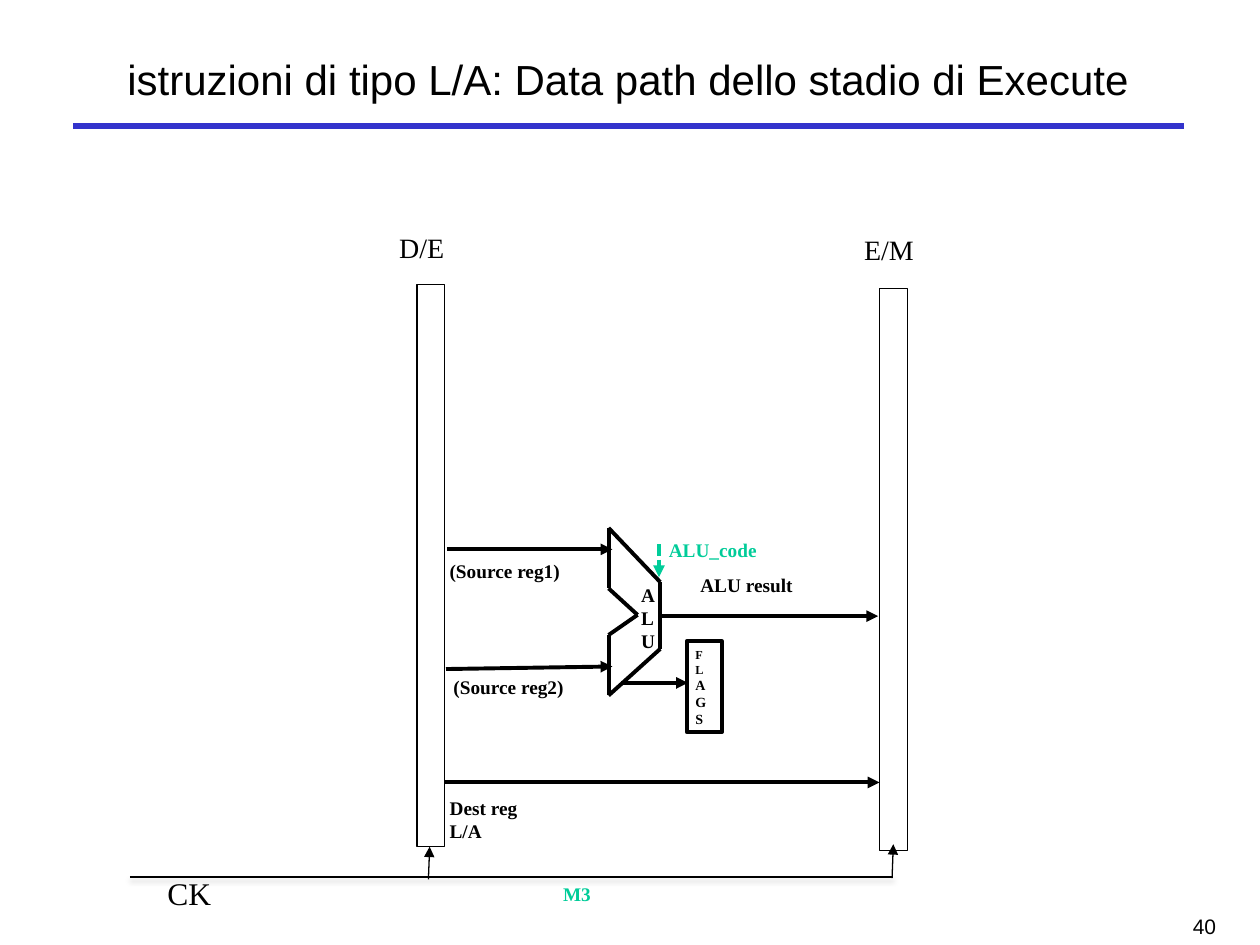
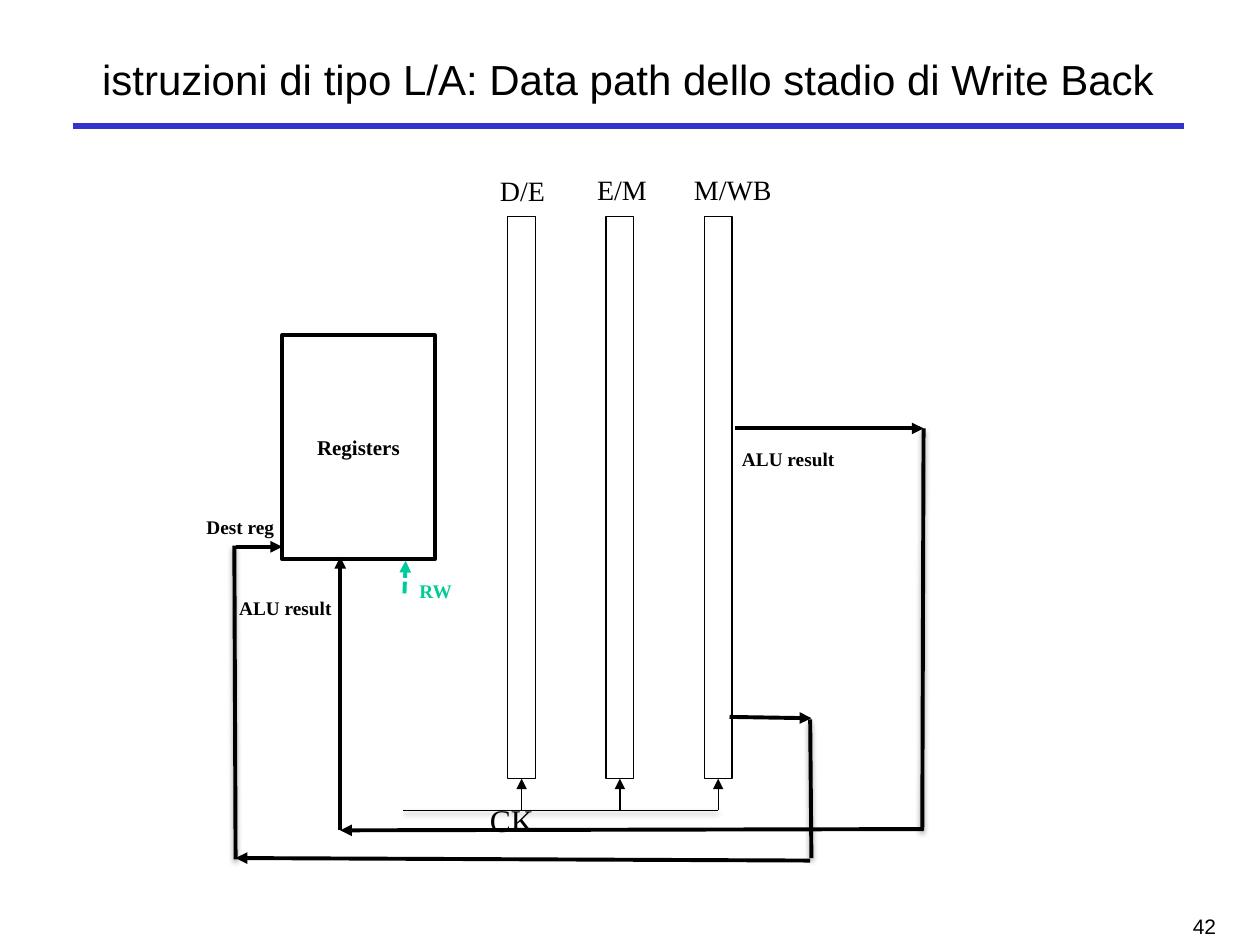
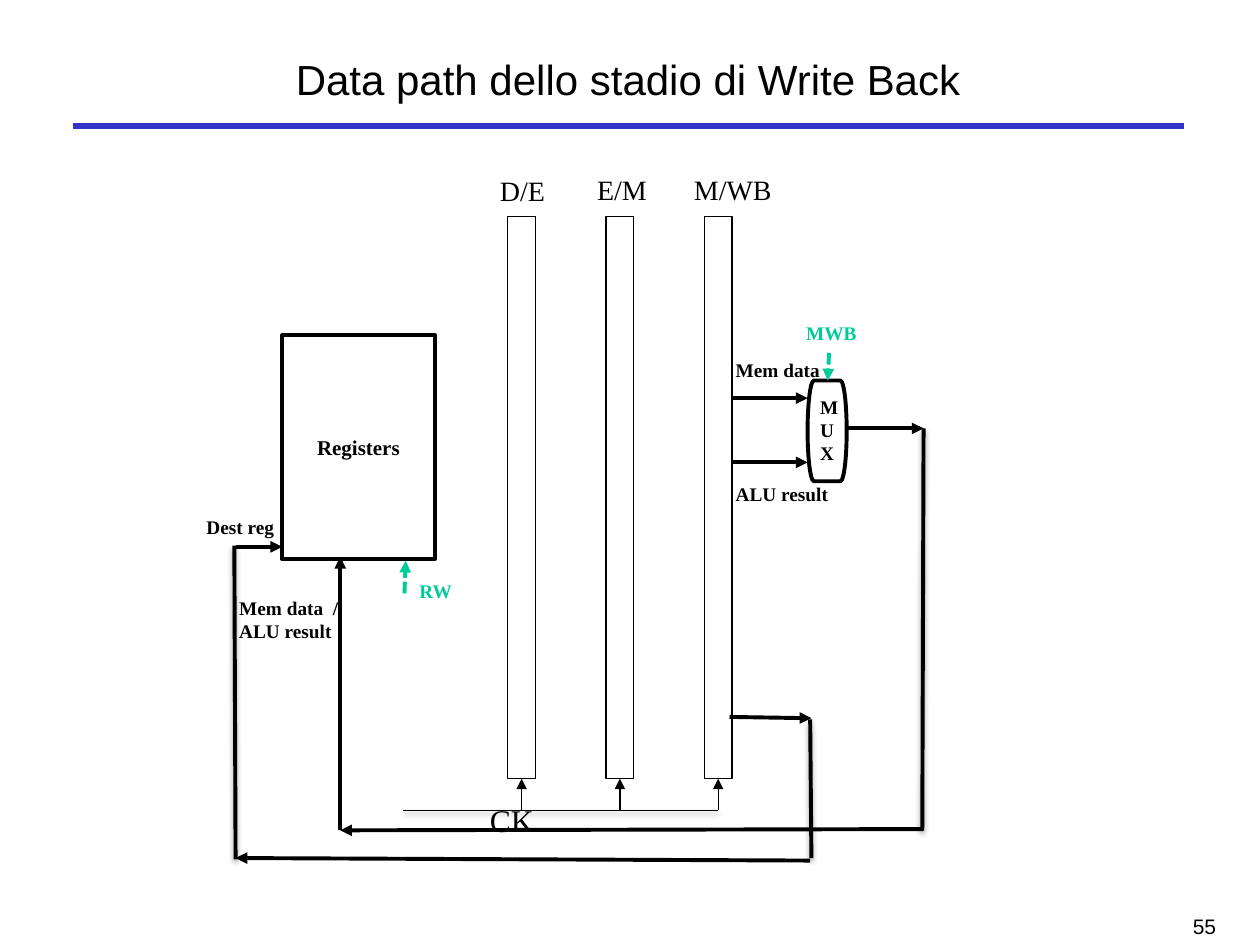
import dataclasses

import lxml.etree
import pptx
import pptx.dml.color
import pptx.enum.dml
import pptx.enum.shapes
import pptx.enum.text
import pptx.oxml
import pptx.oxml.ns
import pptx.util

Inches = pptx.util.Inches
Shape = pptx.enum.shapes.MSO_SHAPE
Align = pptx.enum.text.PP_ALIGN
Anchor = pptx.enum.text.MSO_ANCHOR
rgb = pptx.dml.color.RGBColor.from_string


@dataclasses.dataclass(frozen=True)
class Theme:
    ink: str = "000000"
    paper: str = "FFFFFF"
    rule: str = "3333CC"
    control: str = "00CC99"
    heading_font: str = "Arial"
    diagram_font: str = "Times New Roman"
    title_size: int = 24
    number_size: int = 12
    box_size: int = 12
    clock_size: int = 18
    stage_size: int = 16
    signal_size: int = 11
    thin: float = 0.75
    thick: float = 2.25
    rule_width: float = 3.75


theme = Theme()

LINE_STYLES = {
    "rule": dict(color=theme.rule, width=theme.rule_width),
    "wire": dict(width=theme.thick),
    "shaded wire": dict(width=theme.thick, shadow=True),
    "arrow": dict(width=theme.thick, arrow=True),
    "clock": dict(width=theme.thin, shadow=True),
    "tick": dict(width=theme.thin, arrow=True),
    "control": dict(color=theme.control, width=theme.thick, arrow=True, dashed=True),
}
LABEL_STYLES = {
    "clock": dict(size=theme.clock_size),
    "stage": dict(size=theme.stage_size),
    "signal": dict(size=theme.signal_size, bold=True),
    "control": dict(size=theme.signal_size, bold=True, color=theme.control),
}
SHADOW = (
    '<a:effectLst xmlns:a="http://schemas.openxmlformats.org/drawingml/2006/main">'
    '<a:outerShdw blurRad="39370" dist="22860" dir="5400000" rotWithShape="0">'
    '<a:srgbClr val="000000"><a:alpha val="35000"/></a:srgbClr>'
    "</a:outerShdw></a:effectLst>"
)


def add_text(frame, text, size, font=theme.diagram_font, color=theme.ink, bold=False,
             align=Align.LEFT, anchor=Anchor.TOP, wrap=True, continued=False):
    """Write one paragraph per line, or go on with the last paragraph."""
    frame.word_wrap = wrap
    frame.vertical_anchor = anchor
    for index, line in enumerate(text.split("\n")):
        if index and not continued:
            frame.add_paragraph()
        paragraph = frame.paragraphs[-1]
        paragraph.alignment = align
        run = paragraph.add_run()
        run.text = line
        run.font.size = pptx.util.Pt(size)
        run.font.name = font
        run.font.bold = bold
        run.font.color.rgb = rgb(color)


def add_line(slide, start, end, width, color=theme.ink, arrow=False, dashed=False, shadow=False):
    connector = slide.shapes.add_connector(
        pptx.enum.shapes.MSO_CONNECTOR.STRAIGHT, *map(Inches, start + end))
    connector.line.color.rgb = rgb(color)
    connector.line.width = pptx.util.Pt(width)
    if dashed:
        connector.line.dash_style = pptx.enum.dml.MSO_LINE.SQUARE_DOT
    qn = pptx.oxml.ns.qn
    properties = connector.element.spPr
    if arrow:
        lxml.etree.SubElement(properties.find(qn("a:ln")), qn("a:tailEnd"), type="triangle")
    if shadow:
        properties.append(pptx.oxml.parse_xml(SHADOW))
    else:
        lxml.etree.SubElement(properties, qn("a:effectLst"))
    return connector


# Execute stage: boxes (preset, place, line width), lines and labels
BAR_WIDTH, BAR_HEIGHT = 0.22, 4.46
execute_boxes = [
    (Shape.RECTANGLE, (6.98, 2.29, BAR_WIDTH, BAR_HEIGHT), theme.thin),
    (Shape.RECTANGLE, (3.31, 2.26, BAR_WIDTH, BAR_HEIGHT), theme.thin),
    (Shape.RECTANGLE, (5.45, 5.09, 0.28, 0.72), theme.thick),
]
alu_outline = [(4.83, 4.19), (5.24, 4.62), (5.24, 5.15), (4.83, 5.52),
               (4.83, 5.04), (5.06, 4.88), (4.83, 4.67)]
execute_lines = [
    ((1.03, 6.96), (7.09, 6.96), "clock"),
    ((7.08, 6.97), (7.09, 6.70), "tick"),
    ((3.40, 6.98), (3.41, 6.72), "tick"),
    ((3.53, 6.21), (6.98, 6.21), "arrow"),
    ((3.55, 4.36), (4.86, 4.36), "arrow"),
    ((3.54, 5.31), (4.86, 5.29), "arrow"),
    ((5.24, 4.89), (6.97, 4.89), "arrow"),
    ((4.93, 5.42), (5.46, 5.42), "arrow"),
    ((5.23, 4.32), (5.23, 4.58), "control"),
]
execute_lines += [(start, end, "wire")
                  for start, end in zip(alu_outline, alu_outline[1:] + alu_outline[:1])]
execute_labels = [
    ("CK", (1.23, 6.89, 0.59, 0.35), "clock"),
    ("E/M", (6.76, 1.80, 0.65, 0.37), "stage"),
    ("D/E", (3.07, 1.78, 0.60, 0.37), "stage"),
    ("Dest reg\nL/A", (3.47, 6.27, 0.78, 0.47), "signal"),
    ("ALU result", (5.46, 4.50, 1.07, 0.29), "signal"),
    ("ALU", (4.99, 4.58, 0.21, 0.66), "signal"),
    ("(Source reg1)", (3.47, 4.39, 1.10, 0.29), "signal"),
    ("(Source reg2)", (3.50, 5.31, 1.25, 0.47), "signal"),
    ("M3", (4.37, 6.95, 0.48, 0.29), "control"),
    ("ALU_code", (5.21, 4.22, 0.97, 0.29), "control"),
]

# Write Back stage: the parts that both versions share
bar_centers = [4.14, 4.92, 5.70]
write_back_boxes = [
    (Shape.RECTANGLE, (center - BAR_WIDTH / 2, 1.72, BAR_WIDTH, BAR_HEIGHT), theme.thin)
    for center in bar_centers
]
write_back_lines = [((center, 6.43), (center, 6.18), "tick") for center in bar_centers]
write_back_lines += [
    ((3.20, 6.43), (5.70, 6.43), "clock"),
    ((7.33, 3.40), (7.32, 6.59), "shaded wire"),
    ((7.33, 6.58), (2.70, 6.59), "arrow"),
    ((2.70, 6.59), (2.70, 4.42), "arrow"),
    ((5.79, 5.69), (6.44, 5.70), "arrow"),
    ((6.43, 5.71), (6.44, 6.81), "shaded wire"),
    ((6.43, 6.83), (1.87, 6.81), "arrow"),
    ((1.86, 4.33), (1.87, 6.82), "shaded wire"),
    ((1.87, 4.34), (2.24, 4.34), "arrow"),
    ((3.21, 4.71), (3.22, 4.45), "control"),
]
write_back_labels = [
    ("CK", (3.79, 6.31, 0.59, 0.35), "clock"),
    ("D/E", (3.87, 1.33, 0.57, 0.37), "stage"),
    ("E/M", (4.64, 1.32, 0.65, 0.37), "stage"),
    ("M/WB", (5.41, 1.32, 0.83, 0.37), "stage"),
    ("Dest reg", (1.54, 4.04, 0.75, 0.47), "signal"),
    ("RW", (3.23, 4.55, 0.48, 0.29), "control"),
]
registers_place = (2.24, 2.66, 1.21, 1.78)
registers_box = (Shape.RECTANGLE, registers_place, theme.thick)

# Write Back with the result alone, and with the multiplexer
result_lines = [((5.83, 3.40), (7.33, 3.40), "arrow")]
result_labels = [
    ("ALU result", (1.80, 4.68, 1.04, 0.29), "signal"),
    ("ALU result", (5.79, 3.50, 1.02, 0.29), "signal"),
]
mux_box = (Shape.FLOWCHART_TERMINATOR, (6.41, 3.02, 0.31, 0.80), theme.thick)
mux_lines = [
    ((6.73, 3.40), (7.33, 3.40), "arrow"),
    ((5.81, 3.16), (6.41, 3.16), "arrow"),
    ((5.81, 3.67), (6.41, 3.67), "arrow"),
    ((6.58, 2.80), (6.57, 3.02), "control"),
]
mux_labels = [
    ("M\nU\nX", (6.41, 3.09, 0.21, 0.66), "signal"),
    ("Mem data  /\nALU result", (1.80, 4.68, 1.04, 0.47), "signal"),
    ("Mem data", (5.74, 2.79, 0.92, 0.29), "signal"),
    ("ALU result", (5.74, 3.78, 1.02, 0.29), "signal"),
    ("MWB", (6.30, 2.50, 0.64, 0.29), "control"),
]

# Title, slide number, boxes, lines, labels
pages = [
    ("istruzioni di tipo L/A: Data path dello stadio di Execute", "40",
     execute_boxes, execute_lines, execute_labels),
    ("istruzioni di tipo L/A: Data path dello stadio di Write Back", "42",
     write_back_boxes + [registers_box],
     write_back_lines + result_lines, write_back_labels + result_labels),
    ("Data path dello stadio di Write Back", "55",
     write_back_boxes + [registers_box, mux_box],
     write_back_lines + mux_lines, write_back_labels + mux_labels),
]

presentation = pptx.Presentation()
presentation.slide_width, presentation.slide_height = Inches(10), Inches(7.5)
layout = presentation.slide_layouts[5]

for title_text, number, boxes, lines, labels in pages:
    slide = presentation.slides.add_slide(layout)

    # Title and slide number
    title = slide.shapes.title
    title.left, title.top, title.width, title.height = map(Inches, (0.61, 0.25, 8.75, 0.75))
    add_text(title.text_frame, title_text, theme.title_size, font=theme.heading_font,
             align=Align.CENTER, anchor=Anchor.MIDDLE)
    number_box = slide.shapes.add_textbox(*map(Inches, (7.67, 7, 2.08, 0.5)))
    add_text(number_box.text_frame, number, theme.number_size, font=theme.heading_font,
             align=Align.RIGHT, anchor=Anchor.BOTTOM)

    # Pipeline registers and units
    for preset, place, width in boxes:
        box = slide.shapes.add_shape(preset, *map(Inches, place))
        box.shadow.inherit = False
        box.fill.solid()
        box.fill.fore_color.rgb = rgb(theme.paper)
        box.line.color.rgb = rgb(theme.ink)
        box.line.width = pptx.util.Pt(width)
        if place == registers_place:
            add_text(box.text_frame, "Registers", theme.box_size, bold=True,
                     align=Align.CENTER, anchor=Anchor.MIDDLE, wrap=False)

    # Data, clock and control lines
    for start, end, style in lines:
        add_line(slide, start, end, **LINE_STYLES[style])

    # Labels
    for text, place, style in labels:
        label = slide.shapes.add_textbox(*map(Inches, place))
        add_text(label.text_frame, text, **LABEL_STYLES[style])

# Flags label, set one letter below the other
flags = presentation.slides[0].shapes.add_textbox(*map(Inches, (5.42, 5.09, 0.2, 0.74)))
add_text(flags.text_frame, "F\nL", 7, bold=True)
add_text(flags.text_frame, "AGS", 8, bold=True, continued=True)

# Rule under the title, moved to the shared layout
rule = add_line(presentation.slides[0], (0.58, 1), (9.4, 1), **LINE_STYLES["rule"])
layout.shapes.element.append(rule.element)

presentation.save("out.pptx")
